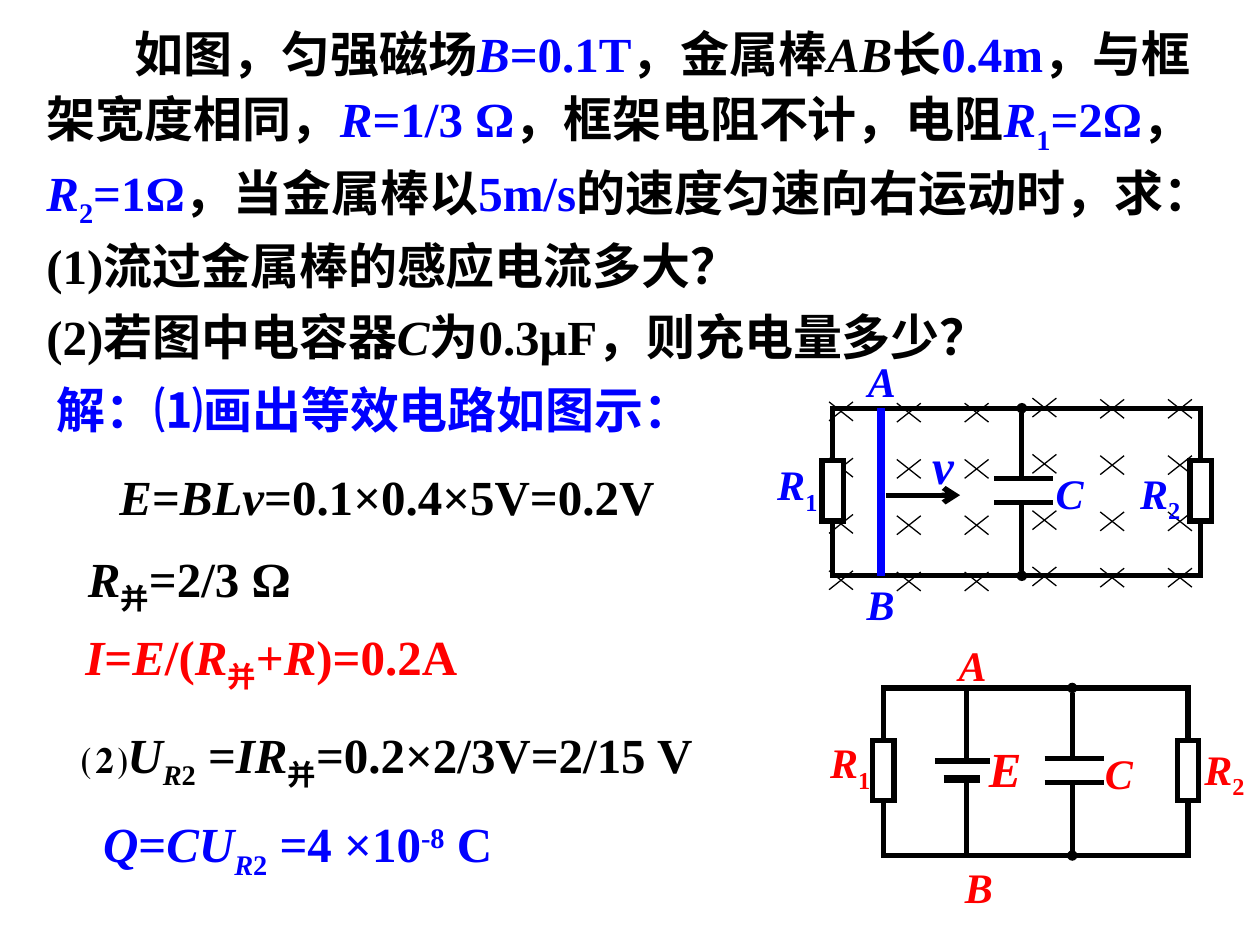
from lxml import etree
from pptx import Presentation
from pptx.dml.color import RGBColor
from pptx.enum.shapes import MSO_CONNECTOR as CONN, MSO_SHAPE as SHAPE
from pptx.enum.text import MSO_AUTO_SIZE as AUTO
from pptx.oxml.ns import qn
from pptx.util import Inches, Pt

BLACK = RGBColor(0x00, 0x00, 0x00)
WHITE = RGBColor(0xFF, 0xFF, 0xFF)
BLUE = RGBColor(0x00, 0x00, 0xFF)
RED = RGBColor(0xFF, 0x00, 0x00)
LATIN, CJK = "Times New Roman", "Noto Sans CJK SC"
BASELINES = {"_": "-25000", "^": "30000"}


def add_run(p, text, style="", color=BLACK, size=28):
    """Add a bold run; style holds i for italic, _ for subscript, ^ for superscript."""
    r = p.add_run()
    r.text = text
    font = r.font
    font.name, font.size, font.bold = LATIN, Pt(size), True
    font.italic = "i" in style
    font.color.rgb = color
    rPr = font._element
    etree.SubElement(rPr, qn("a:ea")).set("typeface", CJK)
    for mark, value in BASELINES.items():
        if mark in style:
            rPr.set("baseline", value)


def add_text(shapes, box, paragraphs, color=BLACK, size=28, wrap=True):
    """Add a text box made of paragraphs of (text, style, colour) runs."""
    sp = shapes.add_textbox(*map(Inches, box))
    tf = sp.text_frame
    tf.word_wrap = wrap
    tf.auto_size = AUTO.SHAPE_TO_FIT_TEXT
    for i, runs in enumerate(paragraphs):
        p = tf.add_paragraph() if i else tf.paragraphs[0]
        for text, style, *own in runs:
            add_run(p, text, style, own[0] if own else color, size)
    return tf


def add_line(shapes, x1, y1, x2, y2, color=BLACK, width=3.0, tail=None, dots=False):
    """Draw a straight line with an optional end mark or small dots at both ends."""
    c = shapes.add_connector(CONN.STRAIGHT, *map(Inches, (x1, y1, x2, y2)))
    c.line.color.rgb = color
    c.line.width = Pt(width)
    ln = c.line._get_or_add_ln()
    if dots:
        for tag in ("a:headEnd", "a:tailEnd"):
            etree.SubElement(ln, qn(tag), type="oval", w="sm", len="sm")
    elif tail:
        etree.SubElement(ln, qn("a:tailEnd"), type=tail)
    etree.SubElement(c._element.spPr, qn("a:effectLst"))


def add_rect(shapes, x, y, w, h, filled=True, outlined=True):
    """Draw a rectangle with a white fill, a black outline, or both."""
    sp = shapes.add_shape(SHAPE.RECTANGLE, *map(Inches, (x, y, w, h)))
    sp.shadow.inherit = False
    if filled:
        sp.fill.solid()
        sp.fill.fore_color.rgb = WHITE
    else:
        sp.fill.background()
    if outlined:
        sp.line.color.rgb = BLACK
        sp.line.width = Pt(3)
        etree.SubElement(sp.line._get_or_add_ln(), qn("a:miter"), lim="800000")
    else:
        sp.line.fill.background()


def add_field(shapes, x, tops, width, height):
    """Draw the magnetic field as columns of four crosses."""
    w, h = 0.19, 0.15
    for col, top in enumerate(tops):
        left = x + col * width / (len(tops) - 1)
        for row in range(4):
            y = top + row * height / 3
            add_line(shapes, left + w, y, left, y + h, width=0.75)
            add_line(shapes, left + w, y + h, left, y, width=0.75)


def add_circuit(shapes, x, y, w, h, color, labels):
    """Draw the frame, two resistors, capacitor and letters of a circuit."""
    cap_x, middle = x + 1.5, y + 0.655
    add_line(shapes, cap_x, y, cap_x, y + h, dots=True)
    add_rect(shapes, x, y, w, h, filled=False)
    for side in (x, x + w):
        add_rect(shapes, side - 0.085, middle - 0.24, 0.17, 0.48)
    plate_x = cap_x - 0.22
    add_rect(shapes, plate_x, middle - 0.095, 0.47, 0.19, outlined=False)
    for plate_y in (middle - 0.095, middle + 0.095):
        add_line(shapes, plate_x, plate_y, plate_x + 0.47, plate_y)
    for letter, index, left, top, size in labels:
        box = (left, top, 0.52 if index else 0.42, 0.56 if index else 0.5)
        runs = [(letter, "i")] + ([(index, "_")] if index else [])
        add_text(shapes, box, [runs], color, size, wrap=False)


def add_field_circuit(slide, x, y, w, h):
    """Draw the moving rod circuit in its magnetic field."""
    shapes = slide.shapes.add_group_shape().shapes
    add_field(shapes, x - 0.03, (3.19, 3.2, 3.2, 3.16, 3.17, 3.17), 2.69, 1.34)
    add_circuit(shapes, x, y, w, h, BLUE, [
        ("v", "", 7.3, 3.41, 28), ("R", "1", 6.07, 3.59, 24),
        ("A", "", 6.79, 2.77, 24), ("B", "", 6.78, 4.54, 24),
        ("R", "2", 8.95, 3.66, 24), ("C", "", 8.28, 3.66, 24)])
    add_line(shapes, x + 0.42, y + 0.69, x + 1.01, y + 0.69, tail="arrow")
    add_line(shapes, x + 0.38, y, x + 0.38, y + h, BLUE, 4.75)


def add_battery_circuit(slide, x, y, w, h):
    """Draw the equivalent circuit with a battery."""
    shapes = slide.shapes.add_group_shape().shapes
    cell_x = x + 0.66
    add_line(shapes, cell_x, y, cell_x, y + h)
    add_rect(shapes, x + 0.41, y + 0.58, 0.43, 0.13, outlined=False)
    add_line(shapes, x + 0.48, y + 0.72, x + 0.77, y + 0.72, width=4.5)
    add_line(shapes, x + 0.41, y + 0.58, x + 0.85, y + 0.58)
    add_circuit(shapes, x, y, w, h, RED, [
        ("R", "1", 6.49, 5.8, 24), ("A", "", 7.51, 5.03, 24),
        ("B", "", 7.56, 6.79, 24), ("R", "2", 9.46, 5.85, 24),
        ("C", "", 8.67, 5.88, 24), ("E", "", 7.75, 5.81, 28)])


def add_question(slide, *box):
    """Write the problem statement."""
    tf = add_text(slide.shapes, box, [
        [("如图，匀强磁场", ""), ("B", "i", BLUE), ("=0.1T", "", BLUE),
         ("，金属棒", ""), ("AB", "i"), ("长", ""), ("0.4m", "", BLUE),
         ("，与框架宽度相同，", ""), ("R", "i", BLUE), ("=1/3 Ω", "", BLUE),
         ("，框架电阻不计，电阻", ""), ("R", "i", BLUE), ("1", "_", BLUE),
         ("=2Ω", "", BLUE), ("，", ""), ("R", "i", BLUE), ("2", "_", BLUE),
         ("=1Ω", "", BLUE), ("，当金属棒以", ""), ("5m/s", "", BLUE),
         ("的速度匀速向右运动时，求：(1)流过金属棒的感应电流多大？", "")],
        [("(2)若图中电容器", ""), ("C", "i"), ("为0.3μF，则充电量多少？", "")],
    ])
    for p in tf.paragraphs:
        p.line_spacing = 1.1
    first, second = tf.paragraphs
    first._p.get_or_add_pPr().set("indent", str(Inches(0.7)))
    second.space_before = Pt(3.5)


def add_solution(slide):
    """Write the solution steps."""
    steps = [
        ((0.35, 2.96, 5.83, 0.57), BLUE, [("解：⑴画出等效电路如图示：", "")]),
        ((0.85, 3.65, 4.7, 0.57), BLACK,
         [("E", "i"), ("=", ""), ("BLv", "i"), ("=0.1×0.4×5V=0.2V", "")]),
        ((0.6, 4.3, 2.2, 0.63), BLACK,
         [("R", "i"), ("并", "_"), ("=2/3 Ω", "")]),
        ((0.58, 4.92, 3.6, 0.63), RED,
         [("I", "i"), ("=", ""), ("E", "i"), ("/(", ""), ("R", "i"),
          ("并", "_"), ("+", ""), ("R", "i"), (")=0.2A", "")]),
        ((0.55, 5.7, 5.5, 0.63), BLACK,
         [("⑵", ""), ("U", "i"), ("R", "i_"), ("2", "_"), (" =", ""),
          ("IR", "i"), ("并", "_"), ("=0.2×2/3V=2/15 V", "")]),
        ((0.72, 6.41, 4.99, 0.63), BLUE,
         [("Q", "i"), ("=", ""), ("CU", "i"), ("R", "i_"), ("2", "_"),
          (" =4 ×10", ""), ("-8", "^"), (" C", "")]),
    ]
    for box, color, runs in steps:
        add_text(slide.shapes, box, [runs], color)


def main():
    """Build and save the slide."""
    prs = Presentation()
    prs.slide_width, prs.slide_height = Inches(10), Inches(7.5)
    slide = prs.slides.add_slide(prs.slide_layouts[6])
    add_question(slide, 0.27, 0.09, 9.53, 2.79)
    add_field_circuit(slide, 6.61, 3.24, 2.92, 1.33)
    add_solution(slide)
    add_battery_circuit(slide, 7.01, 5.46, 2.42, 1.33)
    prs.save("out.pptx")


if __name__ == "__main__":
    main()
